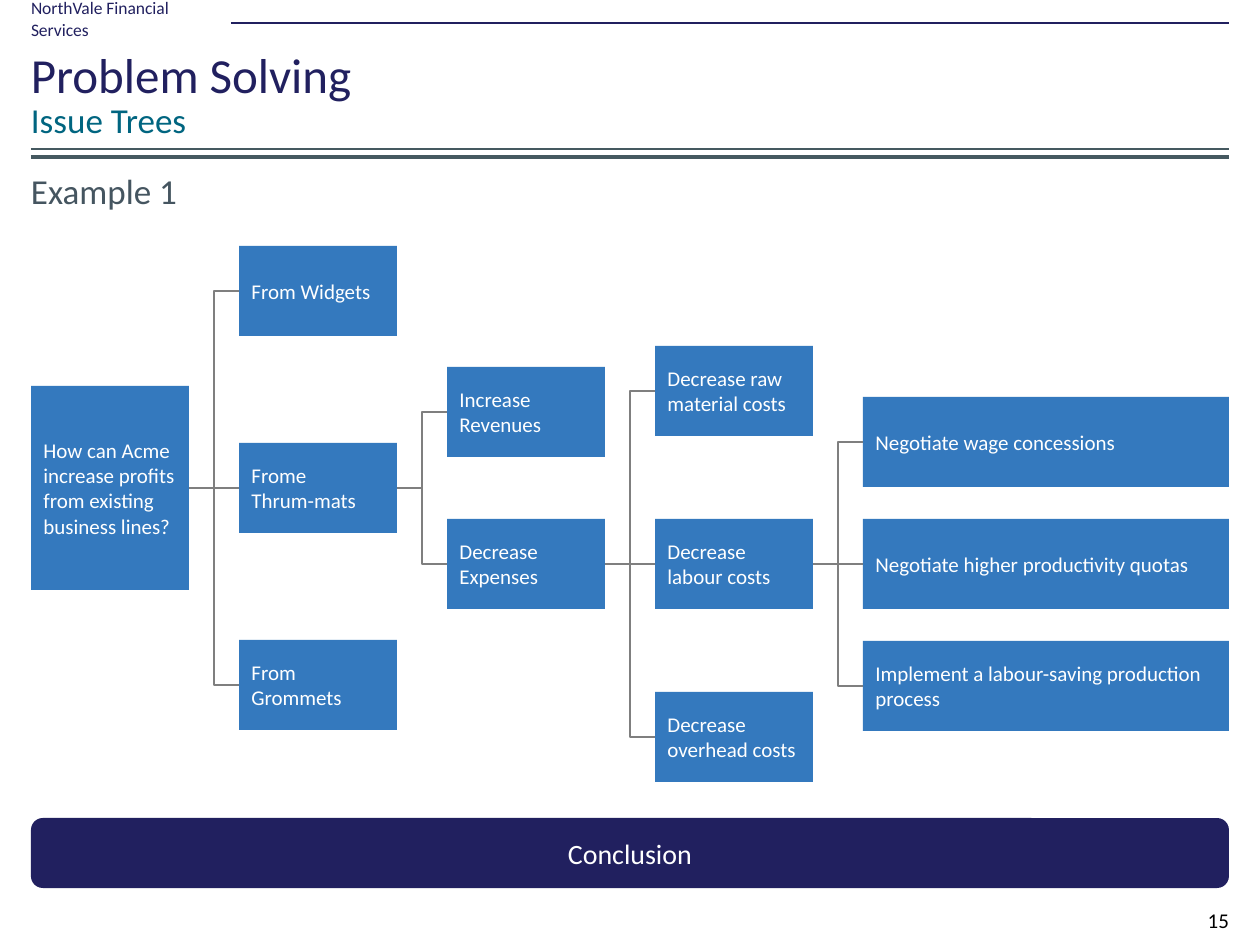
"""Build the issue tree slide of a problem solving deck."""
from lxml.etree import SubElement
from pptx import Presentation
from pptx.dml.color import RGBColor
from pptx.enum.shapes import MSO_CONNECTOR as LINK, MSO_SHAPE as SHAPE
from pptx.enum.text import MSO_ANCHOR as ANCHOR, PP_ALIGN as ALIGN
from pptx.oxml.ns import qn
from pptx.util import Emu, Pt

COLORS = {
    "navy": "21205F", "teal": "006580", "slate": "455560", "rule": "455960",
    "blue": "3479BE", "grey": "7F7F7F", "white": "FFFFFF", "black": "000000",
}
FONT = "Calibri"
LEFT, RIGHT = 31, 1229
FULL = RIGHT - LEFT

HEADINGS = [
    ("NorthVale Financial Services", (LEFT, 8, 197, 21), 10, "navy", ALIGN.LEFT, 0, 0),
    ("Problem Solving", (LEFT, 42, FULL, 63), 28, "navy", ALIGN.LEFT, 6, 0),
    ("Issue Trees", (LEFT, 92, FULL, 55), 20, "teal", ALIGN.LEFT, 6, 6),
    ("Example 1", (LEFT, 168, FULL, 44), 20, "slate", ALIGN.LEFT, 6, 6),
    ("15", (1176, 895, 53, 50), 12, "black", ALIGN.RIGHT, 6, 0),
]
RULES = [(231, 23, "navy", 1), (LEFT, 149, "rule", 1), (LEFT, 157, "rule", 2.25)]

QUESTION = "How can Acme increase profits from existing business lines?"
LEVELS = [
    {"top": 291, "step": 197, "hub": 1,
     "issues": ["From Widgets", "Frome\nThrum-mats", "From Grommets"]},
    {"top": 412, "step": 152, "hub": 1,
     "issues": ["Increase Revenues", "Decrease Expenses"]},
    {"top": 391, "step": 173, "hub": 1,
     "issues": ["Decrease raw material costs", "Decrease labour costs",
                "Decrease overhead costs"]},
    {"top": 442, "step": 122, "hub": 1,
     "issues": ["Negotiate wage concessions", "Negotiate higher productivity quotas",
                "Implement a labour-saving production process"]},
]
QUESTION_CENTER, QUESTION_HEIGHT = 488, 204
ISSUE_WIDTH, ISSUE_HEIGHT, COLUMN_STEP = 158, 90, 208
RIGHT_SIDE, LEFT_SIDE = 3, 1


def px(length):
    return Emu(round(length * 914400 / 126))


def color(name):
    return RGBColor.from_string(COLORS[name])


def write(frame, text, size, ink, align):
    frame.text = text
    frame.word_wrap = True
    frame.vertical_anchor = ANCHOR.MIDDLE
    for paragraph in frame.paragraphs:
        paragraph.alignment = align
        for run in paragraph.runs:
            run.font.name = FONT
            run.font.size = Pt(size)
            run.font.color.rgb = color(ink)


def add_heading(slide, text, area, size, ink, align, inset, space):
    frame = slide.shapes.add_textbox(*map(px, area)).text_frame
    frame.margin_left = frame.margin_right = 0
    frame.margin_top = frame.margin_bottom = px(inset)
    write(frame, text, size, ink, align)
    frame.paragraphs[0].space_before = Pt(space)


def add_box(slide, kind, text, area, fill, size, align):
    box = slide.shapes.add_shape(kind, *map(px, area))
    box.shadow.inherit = False
    box.fill.solid()
    box.fill.fore_color.rgb = color(fill)
    box.line.fill.background()
    write(box.text_frame, text, size, "white", align)
    return box


def add_line(slide, kind, ends, ink, width):
    line = slide.shapes.add_connector(kind, *map(px, ends))
    line.line.color.rgb = color(ink)
    line.line.width = Pt(width)
    SubElement(line._element.spPr, qn("a:effectLst"))
    return line


def add_issue(slide, text, column, center, height=ISSUE_HEIGHT):
    left = LEFT + column * COLUMN_STEP
    width = RIGHT - left if column == len(LEVELS) else ISSUE_WIDTH
    area = (left, center - height / 2, width, height)
    return add_box(slide, SHAPE.RECTANGLE, text, area, "blue", 12, ALIGN.LEFT)


def add_tree(slide):
    parent = add_issue(slide, QUESTION, 0, QUESTION_CENTER, QUESTION_HEIGHT)
    parent_center = QUESTION_CENTER
    for column, level in enumerate(LEVELS, 1):
        centers = [level["top"] + row * level["step"] for row in range(len(level["issues"]))]
        issues = [add_issue(slide, text, column, center)
                  for text, center in zip(level["issues"], centers)]
        end = LEFT + column * COLUMN_STEP
        start = end - COLUMN_STEP + ISSUE_WIDTH
        for issue, center in zip(issues, centers):
            kind = LINK.STRAIGHT if center == parent_center else LINK.ELBOW
            branch = add_line(slide, kind, (start, parent_center, end, center), "grey", 0.75)
            branch.begin_connect(parent, RIGHT_SIDE)
            branch.end_connect(issue, LEFT_SIDE)
        parent, parent_center = issues[level["hub"]], centers[level["hub"]]


def main():
    deck = Presentation()
    deck.slide_width, deck.slide_height = px(1260), px(945)
    slide = deck.slides.add_slide(deck.slide_layouts[6])
    for heading in HEADINGS:
        add_heading(slide, *heading)
    for left, y, ink, width in RULES:
        add_line(slide, LINK.STRAIGHT, (left, y, RIGHT, y), ink, width)
    add_tree(slide)
    conclusion = add_box(slide, SHAPE.ROUNDED_RECTANGLE, "Conclusion",
                         (LEFT, 818, FULL, 70), "navy", 16, ALIGN.CENTER)
    conclusion.adjustments[0] = 0.17
    deck.save("out.pptx")


if __name__ == "__main__":
    main()
